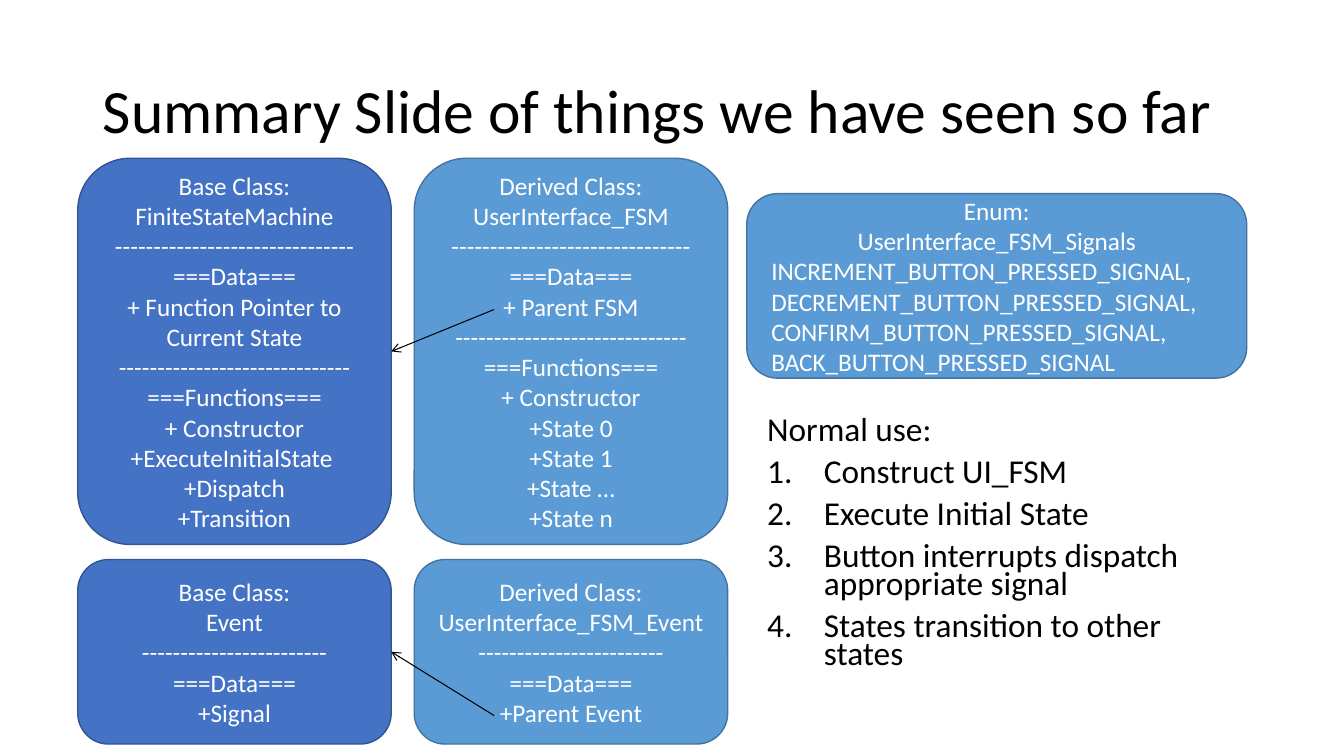
from lxml.etree import SubElement
from pptx import Presentation
from pptx.dml.color import RGBColor
from pptx.enum.shapes import MSO_CONNECTOR as Connector, MSO_SHAPE as Shape
from pptx.enum.text import MSO_ANCHOR as Anchor, MSO_AUTO_SIZE as AutoSize, PP_ALIGN as Align
from pptx.oxml.ns import qn
from pptx.util import Cm, Pt

FONT = "Calibri"
BLACK = RGBColor(0x00, 0x00, 0x00)
WHITE = RGBColor(0xFF, 0xFF, 0xFF)
BASE_FILL = RGBColor(0x44, 0x72, 0xC4)
BASE_LINE = RGBColor(0x32, 0x54, 0x91)
DERIVED_FILL = RGBColor(0x5B, 0x9B, 0xD5)
DERIVED_LINE = RGBColor(0x43, 0x73, 0x9E)
BASE = (BASE_FILL, BASE_LINE)
DERIVED = (DERIVED_FILL, DERIVED_LINE)

TITLE = "Summary Slide of things we have seen so far"
USE_HEADING = "Normal use:"
USE_STEPS = [
    "Construct UI_FSM",
    "Execute Initial State",
    "Button interrupts dispatch appropriate signal",
    "States transition to other states",
]
LONG_RULE, MEDIUM_RULE, SHORT_RULE = "-" * 31, "-" * 30, "-" * 24
MACHINE_BASE = [
    "Base Class:", "FiniteStateMachine", LONG_RULE,
    "===Data===", "+ Function Pointer to Current State", MEDIUM_RULE,
    "===Functions===", "+ Constructor", "+ExecuteInitialState ", "+Dispatch", "+Transition",
]
MACHINE_DERIVED = [
    "Derived Class:", "UserInterface_FSM", LONG_RULE,
    "===Data===", "+ Parent FSM", MEDIUM_RULE,
    "===Functions===", "+ Constructor", "+State 0", "+State 1", "+State …", "+State n",
]
EVENT_BASE = ["Base Class:", "Event", SHORT_RULE, "===Data===", "+Signal"]
EVENT_DERIVED = [
    "Derived Class:", "UserInterface_FSM_Event", SHORT_RULE, "===Data===", "+Parent Event",
]
ENUM_HEADING = ["Enum:", "UserInterface_FSM_Signals"]
ENUM_SIGNALS = [
    " INCREMENT_BUTTON_PRESSED_SIGNAL,",
    " DECREMENT_BUTTON_PRESSED_SIGNAL,",
    " CONFIRM_BUTTON_PRESSED_SIGNAL,",
    " BACK_BUTTON_PRESSED_SIGNAL",
]

COLUMN_LEFT, COLUMN_STEP, CLASS_WIDTH = 1.96, 8.48, 7.9
SMALL_HEIGHT = 4.65
PARENT_X = 12.45
CLASS_ROWS = [
    (3.99, 9.73, MACHINE_BASE, MACHINE_DERIVED, 7.8),
    (14.1, SMALL_HEIGHT, EVENT_BASE, EVENT_DERIVED, 18.03),
]


def place(shape, left, top, width, height):
    shape.left, shape.top, shape.width, shape.height = map(Cm, (left, top, width, height))


def set_font(paragraph, size, color):
    paragraph.font.name = FONT
    paragraph.font.size = Pt(size)
    paragraph.font.color.rgb = color


def fill_paragraphs(frame, lines):
    frame.text = "\n".join(lines)
    return frame.paragraphs


def add_box(slide, position, colors, centered, left_aligned=()):
    box = slide.shapes.add_shape(Shape.ROUNDED_RECTANGLE, *map(Cm, position))
    box.shadow.inherit = False
    box.fill.solid()
    box.fill.fore_color.rgb, box.line.color.rgb = colors
    box.line.width = Pt(1)
    frame = box.text_frame
    frame.word_wrap = True
    frame.vertical_anchor = Anchor.MIDDLE
    for index, paragraph in enumerate(fill_paragraphs(frame, [*centered, *left_aligned])):
        paragraph.alignment = Align.CENTER if index < len(centered) else Align.LEFT
        set_font(paragraph, 18, WHITE)
    return box


def add_arrow(slide, start_y, base_box):
    arrow = slide.shapes.add_connector(
        Connector.STRAIGHT, Cm(PARENT_X), Cm(start_y), base_box.left, base_box.top)
    arrow.end_connect(base_box, 3)
    arrow.line.color.rgb = BLACK
    arrow.line.width = Pt(0.75)
    SubElement(arrow.line._get_or_add_ln(), qn("a:tailEnd"), type="arrow")
    SubElement(arrow._element.spPr, qn("a:effectLst"))


def write_title(title):
    place(title, 2.34, 1.02, 29.21, 3.68)
    frame = title.text_frame
    frame.text = TITLE
    frame.auto_size = AutoSize.NONE
    frame.vertical_anchor = Anchor.MIDDLE
    paragraph = frame.paragraphs[0]
    paragraph.alignment = Align.LEFT
    paragraph.line_spacing = 0.9
    set_font(paragraph, 44, BLACK)


def write_normal_use(body):
    place(body, 19.08, 10.44, 12.45, 6.71)
    frame = body.text_frame
    frame.auto_size = AutoSize.NONE
    for index, paragraph in enumerate(fill_paragraphs(frame, [USE_HEADING, *USE_STEPS])):
        paragraph.line_spacing = 0.7
        paragraph.space_before = Pt(10)
        properties = paragraph._p.get_or_add_pPr()
        indent = Cm(1.43) if index else 0
        properties.set("marL", str(indent))
        properties.set("indent", str(-indent))
        if index:
            SubElement(properties, qn("a:buFont"), typeface="+mj-lt")
            SubElement(properties, qn("a:buAutoNum"), type="arabicPeriod")
        else:
            SubElement(properties, qn("a:buNone"))
        set_font(paragraph, 23.8, BLACK)


def main():
    presentation = Presentation()
    presentation.slide_width, presentation.slide_height = Cm(33.87), Cm(19.05)
    slide = presentation.slides.add_slide(presentation.slide_layouts[1])
    write_title(slide.shapes.title)
    write_normal_use(slide.placeholders[1])

    arrows = []
    for top, height, base_lines, derived_lines, parent_y in CLASS_ROWS:
        base_box, _ = [
            add_box(slide, (COLUMN_LEFT + column * COLUMN_STEP, top, CLASS_WIDTH, height), colors, lines)
            for column, (colors, lines) in enumerate([(BASE, base_lines), (DERIVED, derived_lines)])
        ]
        arrows.append((parent_y, base_box))
    add_box(slide, (18.82, 4.88, 12.6, SMALL_HEIGHT), DERIVED, ENUM_HEADING, ENUM_SIGNALS)
    for parent_y, base_box in arrows:
        add_arrow(slide, parent_y, base_box)

    presentation.save("out.pptx")


if __name__ == "__main__":
    main()
